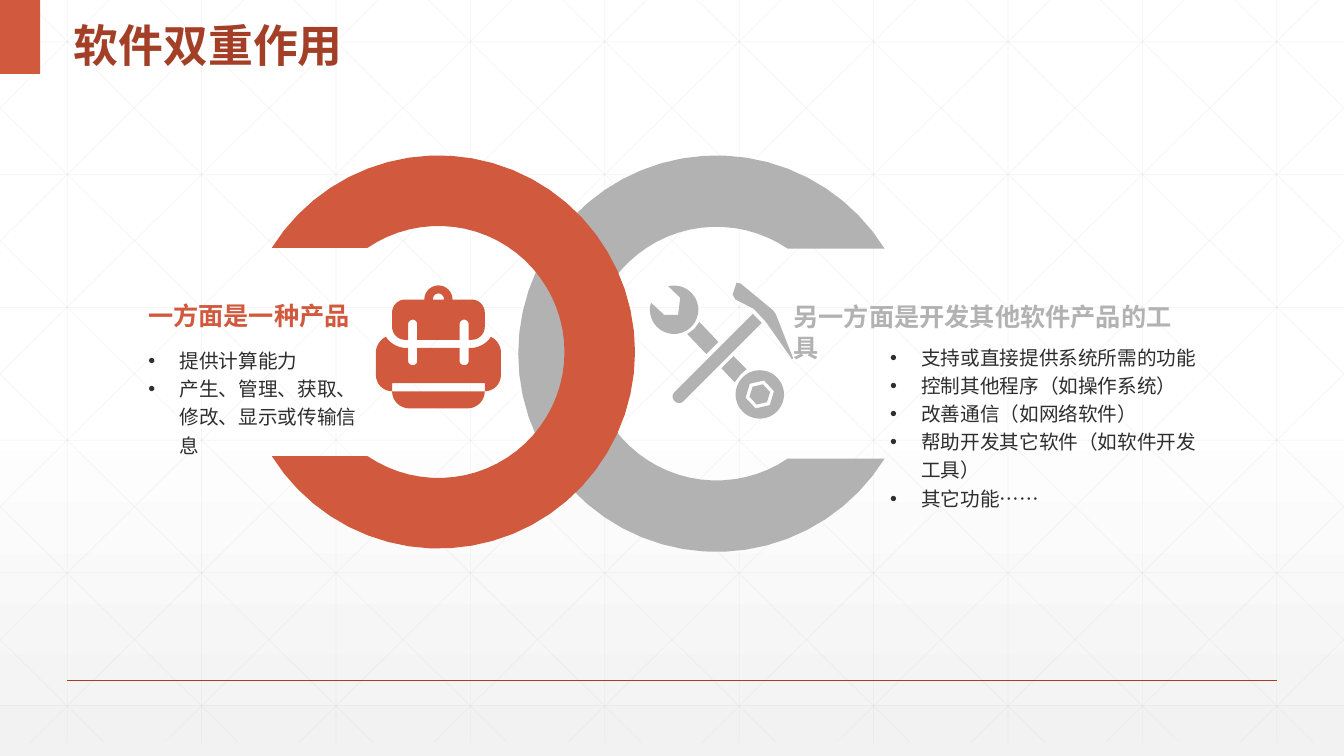
import copy
import math
from dataclasses import dataclass

import pptx
import pptx.dml.color
import pptx.enum.shapes
import pptx.enum.text
import pptx.oxml
import pptx.oxml.ns
import pptx.util

COLUMNS, ROWS = 160, 90
CELL = pptx.util.Inches(1 / 12)
ICON_UNIT = 0.12
ANCHOR = pptx.enum.text.MSO_ANCHOR
ALIGN = pptx.enum.text.PP_ALIGN


@dataclass(frozen=True)
class Theme:
    font: str = "Arial"
    accent: str = "D15A3E"
    dark: str = "A43F27"
    gray: str = "B2B2B2"
    ink: str = "2D2E2D"
    grid: str = "D9D9D9"
    paper: str = "FFFFFF"
    shade: str = "F2F2F2"
    title_size: int = 32
    heading_size: int = 18
    list_size: int = 14


def rgb(value):
    return pptx.dml.color.RGBColor.from_string(value)


def apply(target, values):
    for name, value in values.items():
        setattr(target, name, value)


def cells(*values):
    return [round(value * CELL) for value in values]


def arc(x, y, radius, start, end, steps=48):
    angles = [math.radians(start + (end - start) * i / steps) for i in range(steps + 1)]
    return [(x + radius * math.cos(a), y + radius * math.sin(a)) for a in angles]


def toward(origin, target, distance):
    share = distance / math.dist(origin, target)
    return tuple(o + (t - o) * share for o, t in zip(origin, target))


def rounded(*corners):
    points = [corner[:2] for corner in corners]
    outline = []
    for i, corner in enumerate(corners):
        point = points[i]
        if len(corner) == 2:
            outline.append(point)
            continue
        first = toward(point, points[i - 1], corner[2])
        last = toward(point, points[(i + 1) % len(points)], corner[2])
        for t in (step / 8 for step in range(9)):
            ease = 3 * t * (1 - t)
            weights = (1 - t) ** 3 + ease * (1 - t) * 0.45, t ** 3 + ease * t * 0.45, ease * 0.55
            outline.append(tuple(sum(w * v for w, v in zip(weights, axis))
                                 for axis in zip(first, last, point)))
    return outline


def symmetric(*half):
    return rounded(*half, *[(-x, *rest) for x, *rest in reversed(half)])


BACKPACK = [
    symmetric((46, 44), (46, 61, 17)),
    symmetric((21, 1), (21, 18, 4), (30, 18, 4), (30, 1), (45, 1, 12), (52, -10),
              (62, -5, 10), (62, 44, 16), (46, 44), (46, 36)),
    symmetric((21, -7), (21, -27, 4.5), (30, -27, 4.5), (30, -7), (46, -7, 13),
              (46, -47, 13), (14, -47), (14, -61, 14)),
    symmetric((5.5, -47), (5.5, -53, 5.5)),
]
TOOLS = [
    arc(-47, -41, 24, -104, 197) + [(-57, -36), (-43, -36), (-41, -53)],
    rounded((-22, -29), (-3, -9), (-15, 3), (-34, -17), (-27, -22)),
    rounded((12, 5), (25, 18), (19, 23), (13, 31), (0, 17)),
    arc(38, 43, 24, 0, 360),
    arc(38, 43, 14.5, -73, 287, 6),
    arc(38, 43, 10.5, -73, 287, 6),
    rounded((31, -37), (40, -28), (-42, 54, 6), (-51, 45, 6)),
    rounded((15, -68), (19, -67), (53, -39, 4), (71, 7), (70, 8), (44, -29),
            (32, -42), (14, -51), (11, -56)),
]


class Page:
    def __init__(self, deck, theme):
        self.theme = theme
        self.slide = deck.slides.add_slide(deck.slide_layouts[4])
        self.shapes = self.slide.shapes

    def background(self):
        fill = self.slide.background.fill
        fill.gradient()
        fill.gradient_angle = 270
        stops = self.slide.element.xpath(".//a:gsLst")[0]
        stops.insert(1, copy.deepcopy(stops[0]))
        colors = (self.theme.paper, self.theme.paper, self.theme.shade)
        for stop, position, color in zip(fill.gradient_stops, (0, 0.53, 1), colors):
            stop.position = position
            stop.color.rgb = rgb(color)

    def line(self, start, end, color, width, opacity=100):
        connector = self.shapes.add_connector(
            pptx.enum.shapes.MSO_CONNECTOR.STRAIGHT, *cells(*start, *end))
        connector.line.width = pptx.util.Pt(width)
        connector.line.color.rgb = rgb(color)
        properties = connector.element.spPr
        pptx.oxml.ns.qn("a:effectLst")
        properties.append(pptx.oxml.parse_xml(
            f'<a:effectLst {pptx.oxml.ns.nsdecls("a")}/>'))
        if opacity < 100:
            properties.xpath(".//a:srgbClr")[0].append(pptx.oxml.parse_xml(
                f'<a:alpha {pptx.oxml.ns.nsdecls("a")} val="{opacity * 1000}"/>'))

    def lattice(self):
        style = self.theme.grid, 0.5, 25
        bottom, run = 88.4, 89.4
        for column in range(8, COLUMNS, 16):
            self.line((column, 0), (column, bottom), *style)
        for i in range(6):
            row = 5 + 15.8 * i
            self.line((0, row), (COLUMNS, row), *style)
        for i in range(-5, 10):
            origin = 3 + 16 * i
            left, right = max(origin, 0), min(origin + run, COLUMNS)
            top, low = ((x - origin) * bottom / run for x in (left, right))
            self.line((left, top), (right, low), *style)
            self.line((COLUMNS - left, top), (COLUMNS - right, low), *style)

    def paint(self, shape, color):
        shape.shadow.inherit = False
        shape.fill.solid()
        shape.fill.fore_color.rgb = rgb(color)
        shape.line.fill.background()

    def rectangle(self, box, color):
        kind = pptx.enum.shapes.MSO_SHAPE.RECTANGLE
        self.paint(self.shapes.add_shape(kind, *cells(*box)), color)

    def outline(self, contours, color):
        builder = None
        for contour in contours:
            points = [cells(*point) for point in contour]
            if builder is None:
                builder = self.shapes.build_freeform(*points[0], scale=1.0)
            else:
                builder.move_to(*points[0])
            builder.add_line_segments(points[1:], close=True)
        self.paint(builder.convert_to_shape(), color)

    def open_ring(self, center, outer, inner, gap, color, facing):
        angles = [math.degrees(math.asin(gap / radius)) for radius in (outer, inner)]
        ring = (arc(0, 0, outer, angles[0], 360 - angles[0])
                + arc(0, 0, inner, 360 - angles[1], angles[1]))
        self.outline([[(center[0] + facing * x, center[1] + y) for x, y in ring]], color)

    def icon(self, center, contours, color):
        self.outline([[(center[0] + x * ICON_UNIT, center[1] + y * ICON_UNIT)
                       for x, y in contour] for contour in contours], color)

    def text(self, index, box, lines, size, color, bold=False, bullet=False, spacing=1.0,
             align=ALIGN.LEFT, **frame):
        holder = self.slide.placeholders[index]
        holder.element.getparent().append(holder.element)
        apply(holder, dict(zip(("left", "top", "width", "height"), cells(*box))))
        apply(holder.text_frame, {"auto_size": pptx.enum.text.MSO_AUTO_SIZE.NONE,
                                  "word_wrap": True, **frame})
        holder.text_frame.text = "\n".join(lines)
        for para in holder.text_frame.paragraphs:
            apply(para, {"line_spacing": spacing, "alignment": align,
                         "space_before": pptx.util.Pt(0)})
            if bullet:
                properties = para._p.get_or_add_pPr()
                indent = pptx.util.Inches(0.31)
                properties.set("marL", str(indent))
                properties.set("indent", str(-indent))
                properties.append(pptx.oxml.parse_xml(
                    f'<a:buChar {pptx.oxml.ns.nsdecls("a")} char="•"/>'))
            for span in para.runs:
                apply(span.font, {"name": self.theme.font, "size": pptx.util.Pt(size),
                                  "bold": bold})
                span.font.color.rgb = rgb(color)


def main():
    theme = Theme()
    deck = pptx.Presentation()
    apply(deck, {"slide_width": COLUMNS * CELL, "slide_height": ROWS * CELL})
    page = Page(deck, theme)
    page.background()
    page.lattice()
    page.line((8, 81), (152, 81), theme.dark, 1)
    page.rectangle((0, 0, 4.8, 8.8), theme.accent)
    page.text(0, (7.6, 0, 68.3, 8.8), ["软件双重作用"], theme.title_size, theme.dark,
              bold=True, spacing=1.3, vertical_anchor=ANCHOR.MIDDLE)

    page.open_ring((85.3, 42.1), 23.6, 15.1, 12.5, theme.gray, 1)
    page.icon((85.9, 41.8), TOOLS, theme.gray)
    page.open_ring((52.2, 41.9), 23.4, 15, 12.4, theme.accent, -1)
    page.icon((52.2, 41.3), BACKPACK, theme.accent)

    insets = dict(margin_left=pptx.util.Inches(0.08), margin_right=pptx.util.Inches(0.08),
                  margin_top=0, margin_bottom=0)
    heading = dict(bold=True, word_wrap=False, vertical_anchor=ANCHOR.TOP, **insets)
    bullets = dict(bullet=True, spacing=1.2, vertical_anchor=ANCHOR.MIDDLE, **insets)
    page.text(1, (9.2, 35.7, 33.4, 3.3), ["一方面是一种产品"], theme.heading_size,
              theme.accent, align=ALIGN.RIGHT, **heading)
    page.text(2, (16.7, 40.9, 28, 13.6),
              ["提供计算能力", "产生、管理、获取、修改、显示或传输信息"],
              theme.list_size, theme.ink, **bullets)
    page.text(3, (93.5, 35.9, 48.4, 3.2), ["另一方面是开发其他软件产品的工具"],
              theme.heading_size, theme.gray, **heading)
    page.text(4, (105, 40.1, 39.7, 21.1),
              ["支持或直接提供系统所需的功能", "控制其他程序（如操作系统）", "改善通信（如网络软件）",
               "帮助开发其它软件（如软件开发工具）", "其它功能……"],
              theme.list_size, theme.ink, **bullets)
    deck.save("out.pptx")


if __name__ == "__main__":
    main()
